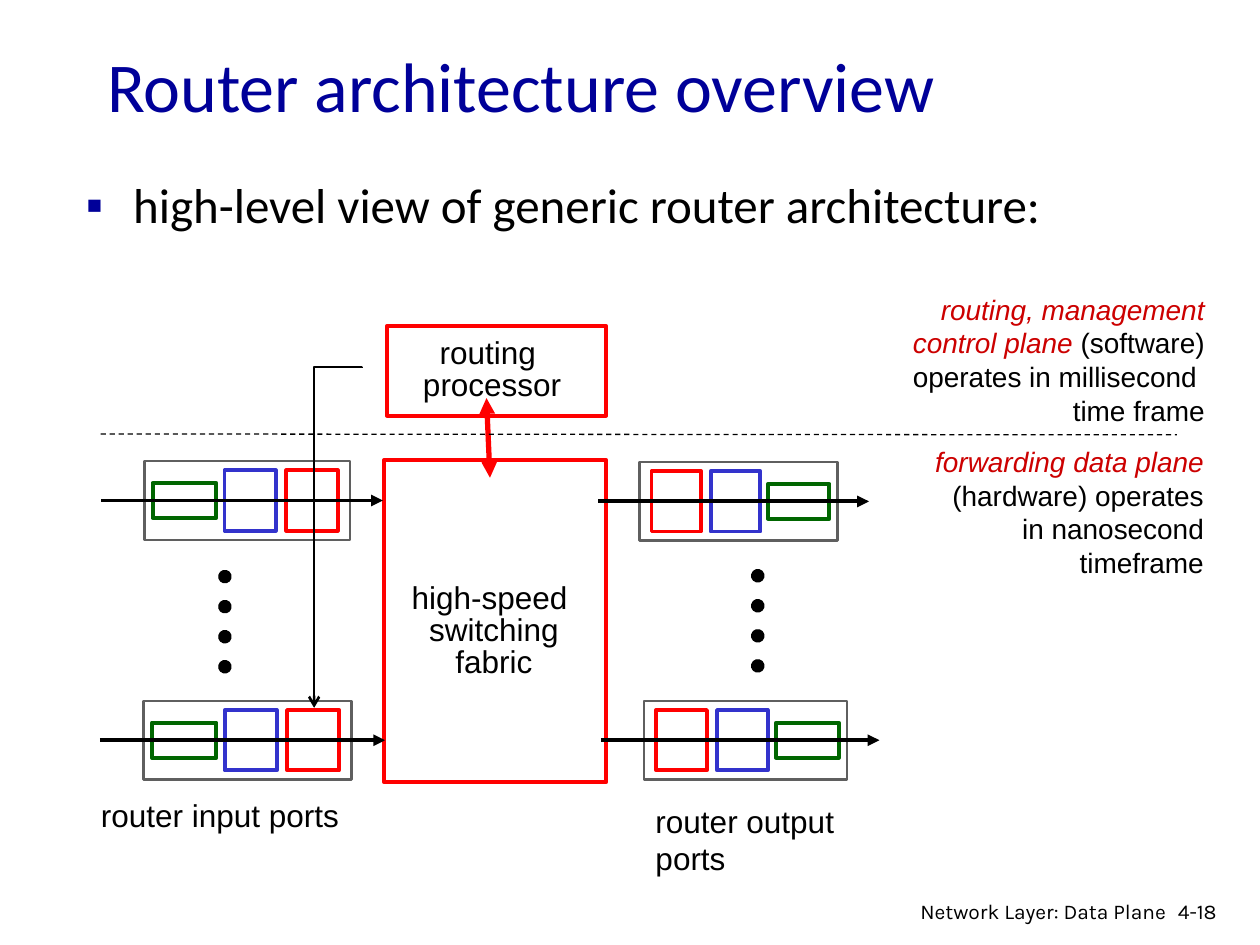
from lxml.etree import SubElement
from pptx import Presentation
from pptx.dml.color import RGBColor
from pptx.enum.dml import MSO_LINE
from pptx.enum.shapes import MSO_CONNECTOR, MSO_SHAPE
from pptx.enum.text import MSO_ANCHOR, MSO_AUTO_SIZE, PP_ALIGN
from pptx.oxml.ns import qn
from pptx.util import Pt

HUES = {
    "navy": "000099", "black": "000000", "white": "FFFFFF", "red": "FF0000",
    "blue": "3333CC", "green": "006600", "gray": "5F5F5F", "crimson": "CC0000",
}
LEFT, MID, RIGHT = PP_ALIGN.LEFT, PP_ALIGN.CENTER, PP_ALIGN.RIGHT


def rgb(name):
    return RGBColor.from_string(HUES[name])


def add_run(para, text, size, font="Arial", hue="black", slant=False):
    run = para.add_run()
    run.text = text
    run.font.size = Pt(size)
    run.font.name = font
    run.font.italic = slant
    run.font.color.rgb = rgb(hue)


def add_text(slide, box, paras, size, font="Arial", align=LEFT, wrap=True, gap=None):
    """Add a text box; each paragraph is a list of (text, hue, slant) runs."""
    frame = slide.shapes.add_textbox(*map(Pt, box)).text_frame
    frame.word_wrap = wrap
    for i, runs in enumerate(paras):
        para = frame.add_paragraph() if i else frame.paragraphs[0]
        para.alignment = align
        para.line_spacing = gap
        for text, hue, slant in runs:
            add_run(para, text, size, font, hue, slant)
    return frame


def plain(*lines):
    return [[(line, "black", False)] for line in lines]


def add_box(slide, box, hue, width=2.25, fill="white", kind=MSO_SHAPE.RECTANGLE):
    shape = slide.shapes.add_shape(kind, *map(Pt, box))
    shape.shadow.inherit = False
    shape.fill.solid()
    shape.fill.fore_color.rgb = rgb(fill)
    shape.line.color.rgb = rgb(hue)
    shape.line.width = Pt(width)
    return shape


def add_line(slide, ends, width, hue="black", head=None, tail=None,
             kind=MSO_CONNECTOR.STRAIGHT):
    line = slide.shapes.add_connector(kind, *map(Pt, ends))
    line.line.color.rgb = rgb(hue)
    line.line.width = Pt(width)
    props = line._element.spPr
    for tag, style in (("a:headEnd", head), ("a:tailEnd", tail)):
        if style:
            SubElement(props.find(qn("a:ln")), qn(tag), type=style)
    SubElement(props, qn("a:effectLst"))
    return line


def add_title(slide, box, text):
    title = slide.shapes.title
    title.left, title.top, title.width, title.height = map(Pt, box)
    frame = title.text_frame
    frame.auto_size = MSO_AUTO_SIZE.NONE
    frame.vertical_anchor = MSO_ANCHOR.MIDDLE
    para = frame.paragraphs[0]
    para.alignment = LEFT
    add_run(para, text, 40, "Calibri", "navy")


def add_bullet(slide, box, text):
    frame = add_text(slide, box, plain(text), 28, "Calibri", gap=0.85)
    props = frame.paragraphs[0]._p.get_or_add_pPr()
    props.set("marL", str(Pt(27)))
    props.set("indent", str(-Pt(27)))
    hue = SubElement(props, qn("a:buClr"))
    SubElement(hue, qn("a:srgbClr"), val=HUES["navy"])
    SubElement(props, qn("a:buFont"), typeface="Arial")
    SubElement(props, qn("a:buChar"), char="▪")


def add_port(slide, box, flip=False):
    """Draw a port with three stages; flip mirrors their order."""
    x, y, w, h = box
    add_box(slide, box, "gray", 1.5)
    stages = (("green", 0.04, 0.31, 20), ("blue", 0.39, 0.25, 34.5),
              ("red", 0.69, 0.25, 34.5))
    for hue, start, part, tall in stages:
        if flip:
            start = 1 - start - part
        add_box(slide, (x + start * w, y + (h - tall) / 2, part * w, tall), hue)
    add_line(slide, (x - 0.21 * w, y + h / 2, x + 1.16 * w, y + h / 2), 2.25,
             tail="triangle")


def add_dots(slide, box):
    x, y, w, h = box
    for i in range(4):
        dot = add_box(slide, (x, y + i * (h - w) / 3, w, w), "black", 0.75,
                      "black", MSO_SHAPE.OVAL)
        dot.rotation = 44.3


def add_side(slide, ports, dots, label, text, flip=False):
    for port in ports:
        add_port(slide, port, flip)
    add_dots(slide, dots)
    add_text(slide, label, plain(text), 18, wrap=False)


def add_core(slide, box):
    """Draw the processor above the fabric, joined by a double arrow."""
    x, y, w, h = box
    add_box(slide, (x, y + 76.5, w, h - 76.5), "red")
    add_text(slide, (x + 8, y + 143.5, 109.5, 62.5),
             plain("high-speed ", "switching", "fabric"), 18, align=MID,
             wrap=False, gap=0.85)
    add_box(slide, (x + 1.5, y, w - 1.5, 51), "red")
    add_text(slide, (x + 15, y + 3.5, 93.5, 44), plain("routing ", "processor"),
             18, align=MID, wrap=False, gap=0.85)
    add_line(slide, (x + 58.5, y + 41, x + 60.5, y + 86.5), 3, "red",
             "triangle", "triangle")


def add_planes(slide, box):
    """Label the control and data planes, split by a dashed line."""
    x, y, w, h = box
    split = add_line(slide, (x, y + 84.5, x + 615, y + 85), 0.75)
    split.line.dash_style = MSO_LINE.DASH
    add_text(slide, (x + w - 172.5, y + 87, 172, 85), [[
        ("forwarding data plane ", "crimson", True),
        ("(hardware) operates in nanosecond timeframe", "black", False),
    ]], 16, align=RIGHT)
    add_text(slide, (x + w - 227, y, 227, 85), [
        [("routing, management", "crimson", True)],
        [("control plane ", "crimson", True), ("(software)", "black", False)],
        *plain("operates in millisecond ", "time frame"),
    ], 16, align=RIGHT)


def add_route(slide, box):
    """Run an elbow arrow left from the box's top right, then down its left."""
    x, y, w, h = box
    left, top = x + (w - h) / 2, y + (h - w) / 2
    route = add_line(slide, (left, top, left + h, top + w), 1.5, tail="arrow",
                     kind=MSO_CONNECTOR.ELBOW)
    props = route._element.spPr
    props.find(qn("a:xfrm")).set("rot", str(90 * 60000))
    shape = props.find(qn("a:prstGeom"))
    guides = shape.find(qn("a:avLst"))
    if guides is None:
        guides = SubElement(shape, qn("a:avLst"))
    SubElement(guides, qn("a:gd"), name="adj1", fmla="val -100")


def add_footer(slide, box):
    x, y, w, h = box
    add_text(slide, (x + w - 44, y, 44, h), plain("4-18"), 12, "Karla")
    add_text(slide, (x, y, 171.5, h), plain("Network Layer: Data Plane"), 12,
             "Karla", RIGHT)


def main():
    deck = Presentation()
    deck.slide_width, deck.slide_height = Pt(720), Pt(540)
    slide = deck.slides.add_slide(deck.slide_layouts[5])
    add_title(slide, (54, 24, 612, 48), "Router architecture overview")
    add_core(slide, (219.5, 186.5, 127, 260.5))
    add_side(slide, ((82.5, 263.5, 117.5, 45), (82, 400.5, 119, 45)),
             (125, 326, 7, 58.5), (50.5, 451.5, 150.5, 29), "router input ports")
    add_side(slide, ((365.5, 264, 113, 45), (368, 400.5, 116, 45)),
             (429.5, 325.5, 7, 58.5), (367.5, 454.5, 161, 29),
             "router output ports", flip=True)
    add_planes(slide, (57.5, 163.5, 638, 172))
    add_route(slide, (179.5, 210, 27, 194.5))
    add_bullet(slide, (42, 101.5, 612, 46),
               "high-level view of generic router architecture:")
    add_footer(slide, (502, 510, 208, 20))
    deck.save("out.pptx")


if __name__ == "__main__":
    main()
